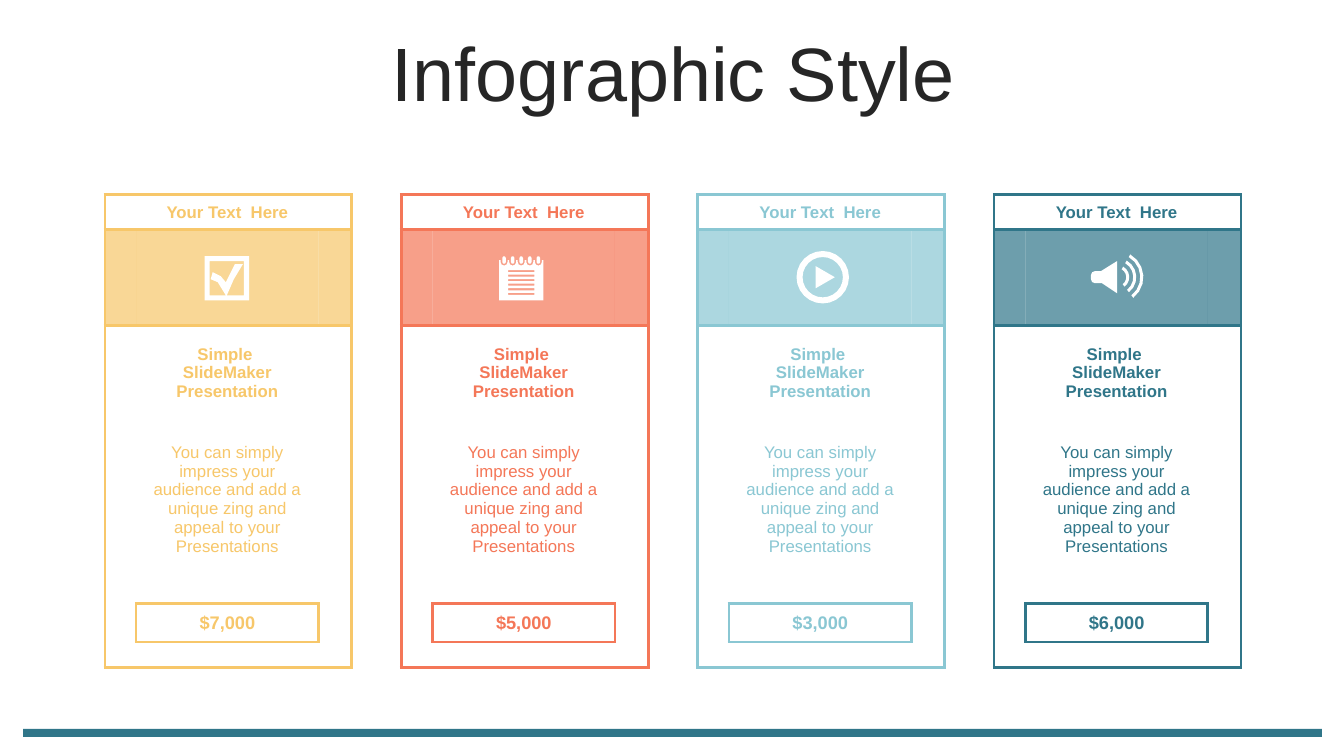
import math

from lxml.etree import SubElement
from pptx import Presentation
from pptx.dml.color import RGBColor
from pptx.enum.shapes import MSO_SHAPE
from pptx.enum.text import MSO_ANCHOR, PP_ALIGN
from pptx.oxml import parse_xml
from pptx.oxml.ns import nsdecls, qn
from pptx.util import Inches, Pt

CENTER = PP_ALIGN.CENTER
MIDDLE = MSO_ANCHOR.MIDDLE
RECTANGLE = MSO_SHAPE.RECTANGLE

WHITE = RGBColor(0xFF, 0xFF, 0xFF)
INK = RGBColor(0x26, 0x26, 0x26)
YELLOW = RGBColor(0xF7, 0xC7, 0x6A)
CORAL = RGBColor(0xF4, 0x77, 0x58)
SKY = RGBColor(0x8A, 0xC7, 0xD3)
TEAL = RGBColor(0x30, 0x76, 0x89)

CARD_LEFT, CARD_TOP, CARD_PITCH = 1.04, 1.93, 2.94
COLUMNS = [0.31, 1.81, 0.33]
ROWS = [0.35, 0.95, 0.94, 1.57, 0.25, 0.38, 0.25]
BAND_ROW, PRICE_ROW = 1, 5


def arc(x, y, radius, start, end, steps):
    angles = [math.radians(start + (end - start) * i / steps) for i in range(steps + 1)]
    return [(x + radius * math.cos(a), y + radius * math.sin(a)) for a in angles]


def draw_icon(page, center_x, center_y, contours):
    placed = [
        [(Inches(center_x + x), Inches(center_y + y)) for x, y in contour]
        for contour in contours
    ]
    builder = page.shapes.build_freeform(*placed[0][0])
    for number, contour in enumerate(placed):
        if number:
            builder.move_to(*contour[0])
        builder.add_line_segments(contour[1:], close=True)
    icon = builder.convert_to_shape()
    icon.shadow.inherit = False
    icon.fill.solid()
    icon.fill.fore_color.rgb = WHITE
    icon.line.fill.background()


deck = Presentation()
deck.slide_width, deck.slide_height = Inches(13.33), Inches(7.5)
page = deck.slides.add_slide(deck.slide_layouts[6])

bar = page.shapes.add_shape(
    RECTANGLE, Inches(0.23), Inches(7.23), Inches(12.88), Inches(0.08)
)
bar.shadow.inherit = False
bar.fill.solid()
bar.fill.fore_color.rgb = TEAL
bar.line.fill.background()

box = page.shapes.add_textbox(Inches(0.35), Inches(0.37), Inches(12.66), Inches(0.79))
box.text_frame.word_wrap = True
box.text_frame.vertical_anchor = MIDDLE
para = box.text_frame.paragraphs[0]
para.alignment, para.line_spacing = CENTER, 0.9
span = para.add_run()
span.text = "Infographic Style"
span.font.name, span.font.size = "Arial", Pt(54)
span.font.color.rgb = INK

cards = [(YELLOW, "$7,000"), (CORAL, "$5,000"), (SKY, "$3,000"), (TEAL, "$6,000")]
for index, (color, price) in enumerate(cards):
    frame = page.shapes.add_table(
        len(ROWS), len(COLUMNS),
        Inches(CARD_LEFT + index * CARD_PITCH), Inches(CARD_TOP),
        Inches(sum(COLUMNS)), Inches(sum(ROWS)),
    )
    table = frame.table
    table.first_row = table.horz_banding = False
    for column, width in zip(table.columns, COLUMNS):
        column.width = Inches(width)
    for row, height in zip(table.rows, ROWS):
        row.height = Inches(height)

    texts = {
        0: (["Your Text  Here"], {"size": Pt(12), "bold": True}),
        2: (["Simple ", "SlideMaker Presentation"], {"size": Pt(12), "bold": True}),
        3: (
            ["You can simply impress your audience and add a unique zing "
             "and appeal to your Presentations"],
            {"size": Pt(12), "bold": False},
        ),
        PRICE_ROW: ([price], {"size": Pt(13), "bold": True}),
    }
    for r in range(len(ROWS)):
        for c in range(len(COLUMNS)):
            cell = table.cell(r, c)
            cell.vertical_anchor = MIDDLE
            cell.margin_left = cell.margin_right = Inches(0.08)
            cell.margin_top = cell.margin_bottom = Inches(0.04)
            cell.fill.solid()
            cell.fill.fore_color.rgb = color if r == BAND_ROW else WHITE
            properties = cell._tc.get_or_add_tcPr()
            if r == BAND_ROW:
                tint = properties.find(".//" + qn("a:srgbClr"))
                SubElement(tint, qn("a:alpha"), val="70000")

            edges = {
                "lnL": c == 0 or r == PRICE_ROW,
                "lnR": c == 2 or r == PRICE_ROW,
                "lnT": r <= 2 or (c == 1 and r >= PRICE_ROW),
                "lnB": r in (0, BAND_ROW, 6) or (c == 1 and r in (4, PRICE_ROW)),
            }
            for position, (edge, shown) in enumerate(edges.items()):
                paint = (
                    f'<a:solidFill><a:srgbClr val="{color}"/></a:solidFill>'
                    if shown else "<a:noFill/>"
                )
                line = f'<a:{edge} {nsdecls("a")} w="{Pt(2.25)}">{paint}</a:{edge}>'
                properties.insert(position, parse_xml(line))

            if c != 1 or r not in texts:
                SubElement(
                    cell.text_frame.paragraphs[0]._p, qn("a:endParaRPr"), sz="800"
                )
                continue
            lines, style = texts[r]
            for number, words in enumerate(lines):
                text_frame = cell.text_frame
                para = text_frame.add_paragraph() if number else text_frame.paragraphs[0]
                para.alignment = CENTER
                span = para.add_run()
                span.text = words
                span.font.name = "Arial"
                span.font.color.rgb = color
                for name, value in style.items():
                    setattr(span.font, name, value)

checkbox = [
    [(-0.22, -0.22), (0.22, -0.22), (0.22, 0.22), (-0.22, 0.22)],
    [(-0.17, -0.17), (-0.17, 0.17), (-0.01, 0.17), (-0.09, 0.04), (-0.16, 0.01),
     (-0.14, -0.06), (-0.06, -0.02), (-0.01, 0.04), (0.08, -0.14), (0.16, -0.14),
     (0.07, 0.01), (0, 0.17), (0.17, 0.17), (0.17, -0.17)],
]

rings = [0.085 * (i - 2) for i in range(5)]
notches = [point for x in rings for point in
           [(x - 0.035, -0.18)] + arc(x, -0.16, 0.035, 180, 0, 4) + [(x + 0.035, -0.18)]]
notepad = [[(-0.22, -0.18)] + notches + [(0.22, -0.18), (0.22, 0.22), (-0.22, 0.22)]]
notepad += [
    arc(x, -0.2, 0.018, 180, 360, 3) + arc(x, -0.16, 0.018, 0, 180, 3) for x in rings
]
for i in range(6):
    y = -0.08 + 0.045 * i
    notepad.append([(-0.13, y), (0.13, y), (0.13, y + 0.02), (-0.13, y + 0.02)])

play = [
    arc(0, 0, 0.26, 0, 345, 23),
    arc(0, 0, 0.2, 0, 345, 23),
    [(-0.07, -0.11), (0.12, 0), (-0.07, 0.11)],
]

speaker = [
    [(0, -0.16), (0, 0.16), (-0.15, 0.06)]
    + arc(-0.22, 0.02, 0.04, 90, 180, 2) + arc(-0.22, -0.02, 0.04, 180, 270, 2)
    + [(-0.16, -0.06)]
]
for radius in (0.12, 0.19, 0.26):
    speaker.append(arc(0, 0, radius, -60, 52, 6) + arc(0, 0, radius - 0.03, 52, -60, 6))

icons = [
    (2.25, 2.76, checkbox), (5.17, 2.76, notepad),
    (8.16, 2.75, play), (11.08, 2.75, speaker),
]
for center_x, center_y, contours in icons:
    draw_icon(page, center_x, center_y, contours)

deck.save("out.pptx")
